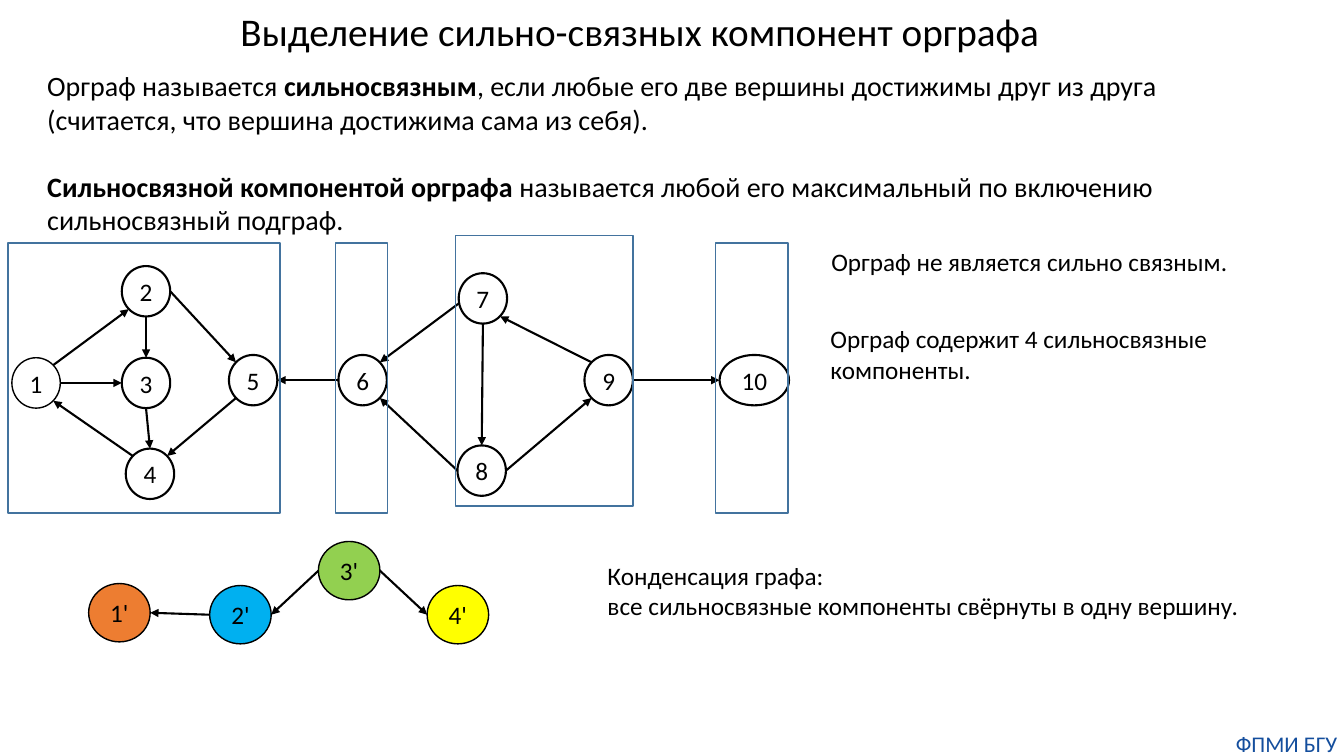
from lxml import etree
from pptx import Presentation
from pptx.dml.color import RGBColor
from pptx.enum.shapes import MSO_CONNECTOR, MSO_SHAPE
from pptx.enum.text import MSO_ANCHOR, PP_ALIGN
from pptx.oxml.ns import qn
from pptx.util import Cm, Pt

STRAIGHT = MSO_CONNECTOR.STRAIGHT
OVAL, RECTANGLE = MSO_SHAPE.OVAL, MSO_SHAPE.RECTANGLE
MIDDLE = MSO_ANCHOR.MIDDLE
LEFT_ALIGN, CENTER = PP_ALIGN.LEFT, PP_ALIGN.CENTER

BLACK = RGBColor(0x00, 0x00, 0x00)
FRAME_BLUE = RGBColor(0x43, 0x73, 0x9E)
FOOTER_BLUE = RGBColor(0x14, 0x4E, 0x9D)
ORANGE = RGBColor(0xED, 0x7D, 0x31)
SKY = RGBColor(0x00, 0xB0, 0xF0)
GREEN = RGBColor(0x92, 0xD0, 0x50)
YELLOW = RGBColor(0xFF, 0xFF, 0x00)
FONT = "Calibri"

# Points on an ellipse, in units of its half width and half height
TOP, BOTTOM, LEFT, RIGHT = (0, -1), (0, 1), (-1, 0), (1, 0)
LEFT_LOW = (-1, 0.2)
DIAGONAL = 0.71
TOP_LEFT, TOP_RIGHT = (-DIAGONAL, -DIAGONAL), (DIAGONAL, -DIAGONAL)
BOTTOM_LEFT, BOTTOM_RIGHT = (-DIAGONAL, DIAGONAL), (DIAGONAL, DIAGONAL)


def add_span(para, text, size, color=BLACK, bold=False):
    span = para.add_run()
    span.text = text
    span.font.name = FONT
    span.font.size = Pt(size)
    span.font.bold = bold
    span.font.color.rgb = color


def add_text(page, box, paragraphs, size, align=LEFT_ALIGN, color=BLACK,
             gap=0, inset=None):
    """Each paragraph is a list of (text, bold) pairs."""
    frame = page.shapes.add_textbox(*map(Cm, box)).text_frame
    frame.word_wrap = True
    if inset is not None:
        frame.margin_left = frame.margin_right = Cm(inset)
        frame.margin_top = frame.margin_bottom = Cm(inset)
    for index, pieces in enumerate(paragraphs):
        para = frame.add_paragraph() if index else frame.paragraphs[0]
        para.alignment = align
        if index:
            para.space_before = Pt(gap)
        for text, bold in pieces:
            add_span(para, text, size, color, bold)


def add_outlined(page, kind, box, line_color, line_width, fill=None):
    shape = page.shapes.add_shape(kind, *map(Cm, box))
    shape.shadow.inherit = False
    if fill is None:
        shape.fill.background()
    else:
        shape.fill.solid()
        shape.fill.fore_color.rgb = fill
    shape.line.color.rgb = line_color
    shape.line.width = Pt(line_width)
    return shape


def add_vertex(page, label, box, line_width, fill=None):
    frame = add_outlined(page, OVAL, box, BLACK, line_width, fill).text_frame
    frame.margin_left = frame.margin_right = 0
    frame.vertical_anchor = MIDDLE
    frame.paragraphs[0].alignment = CENTER
    add_span(frame.paragraphs[0], label, 18)


def add_arrow(page, start, end):
    arrow = page.shapes.add_connector(STRAIGHT, *map(Cm, start + end))
    arrow.line.color.rgb = BLACK
    arrow.line.width = Pt(1.5)
    etree.SubElement(arrow.line._get_or_add_ln(), qn("a:tailEnd"), type="triangle")
    etree.SubElement(arrow._element.spPr, qn("a:effectLst"))


def add_graph(page, origin, vertices, edges):
    """Vertices: label -> (centre x, centre y, width, height, line width, fill)."""
    left, top = origin
    for label, (x, y, width, height, line_width, fill) in vertices.items():
        box = (left + x - width / 2, top + y - height / 2, width, height)
        add_vertex(page, label, box, line_width, fill)

    def rim_point(label, site):
        x, y, width, height = vertices[label][:4]
        return left + x + site[0] * width / 2, top + y + site[1] * height / 2

    for source, source_site, target, target_site in edges:
        add_arrow(page, rim_point(source, source_site), rim_point(target, target_site))


def add_digraph(page, origin):
    centres = {
        "1": (0.71, 3.71), "2": (3.48, 1.4), "3": (3.48, 3.71), "4": (3.58, 6),
        "5": (6.18, 3.64), "6": (8.94, 3.64), "7": (11.97, 1.58),
        "8": (11.94, 5.92), "9": (15.14, 3.64), "10": (18.81, 3.64),
    }
    vertices = {
        label: (*centre, 1.75 if label == "10" else 1.22, 1.27,
                1 if label == "1" else 1.5, None)
        for label, centre in centres.items()
    }
    edges = [
        ("1", TOP_RIGHT, "2", BOTTOM_LEFT), ("2", RIGHT, "5", TOP_LEFT),
        ("5", BOTTOM_LEFT, "4", TOP_RIGHT), ("2", BOTTOM, "3", TOP),
        ("3", BOTTOM, "4", TOP), ("4", TOP_LEFT, "1", BOTTOM_RIGHT),
        ("1", RIGHT, "3", LEFT), ("6", LEFT, "5", RIGHT),
        ("7", BOTTOM, "8", TOP), ("8", RIGHT, "9", BOTTOM_LEFT),
        ("9", TOP_LEFT, "7", BOTTOM_RIGHT), ("7", LEFT_LOW, "6", TOP_RIGHT),
        ("8", LEFT, "6", BOTTOM_RIGHT), ("9", RIGHT, "10", LEFT),
    ]
    add_graph(page, origin, vertices, edges)

    # Frames around the strongly connected components
    left, top = origin
    for x, y, width in [(0, 0.18, 6.86), (8.26, 0.18, 1.3),
                        (11.28, 0, 4.47), (17.83, 0.18, 1.83)]:
        add_outlined(page, RECTANGLE, (left + x, top + y, width, 6.81), FRAME_BLUE, 1)


def add_condensation(page, origin):
    places = {
        "1'": (0.77, 1.8, ORANGE), "2'": (3.82, 1.85, SKY),
        "3'": (6.56, 0.74, GREEN), "4'": (9.3, 1.85, YELLOW),
    }
    vertices = {label: (x, y, 1.55, 1.47, 1, fill)
                for label, (x, y, fill) in places.items()}
    edges = [("2'", LEFT, "1'", RIGHT), ("3'", LEFT, "2'", RIGHT),
             ("3'", RIGHT, "4'", LEFT)]
    add_graph(page, origin, vertices, edges)


def add_definitions(page, box):
    add_text(page, box, [
        [("Орграф называется ", False), ("сильносвязным", True),
         (", если любые его две вершины достижимы друг из друга "
          "(считается, что вершина достижима сама из себя).", False)],
        [("Сильносвязной компонентой орграфа ", True),
         ("называется любой его максимальный по включению "
          "сильносвязный подграф.", False)],
    ], 20, gap=24)


def add_remarks(page):
    remarks = [
        ((20.7, 6.07, 11.6, 1.02), ["Орграф не является сильно связным."]),
        ((20.68, 8.03, 12.75, 1.8), ["Орграф содержит 4 сильносвязные компоненты."]),
        ((15.06, 14, 16.87, 1.8),
         ["Конденсация графа:",
          "все сильносвязные компоненты свёрнуты в одну вершину."]),
    ]
    for box, lines in remarks:
        add_text(page, box, [[(line, False)] for line in lines], 18)


def main():
    deck = Presentation()
    deck.slide_width, deck.slide_height = Cm(33.87), Cm(19.05)
    page = deck.slides.add_slide(deck.slide_layouts[6])

    # Title and definitions
    add_text(page, (5.77, 0.05, 20.7, 1.45),
             [[("Выделение сильно-связных компонент орграфа", False)]], 28, CENTER)
    add_definitions(page, (0.94, 1.6, 30.99, 4.52))

    # Graphs and remarks
    add_digraph(page, (0.2, 5.94))
    add_condensation(page, (2.24, 13.64))
    add_remarks(page)

    # Footer
    add_text(page, (30.99, 18.41, 2.87, 0.64), [[("ФПМИ БГУ", False)]], 16,
             CENTER, FOOTER_BLUE, inset=0)
    deck.save("out.pptx")


if __name__ == "__main__":
    main()
